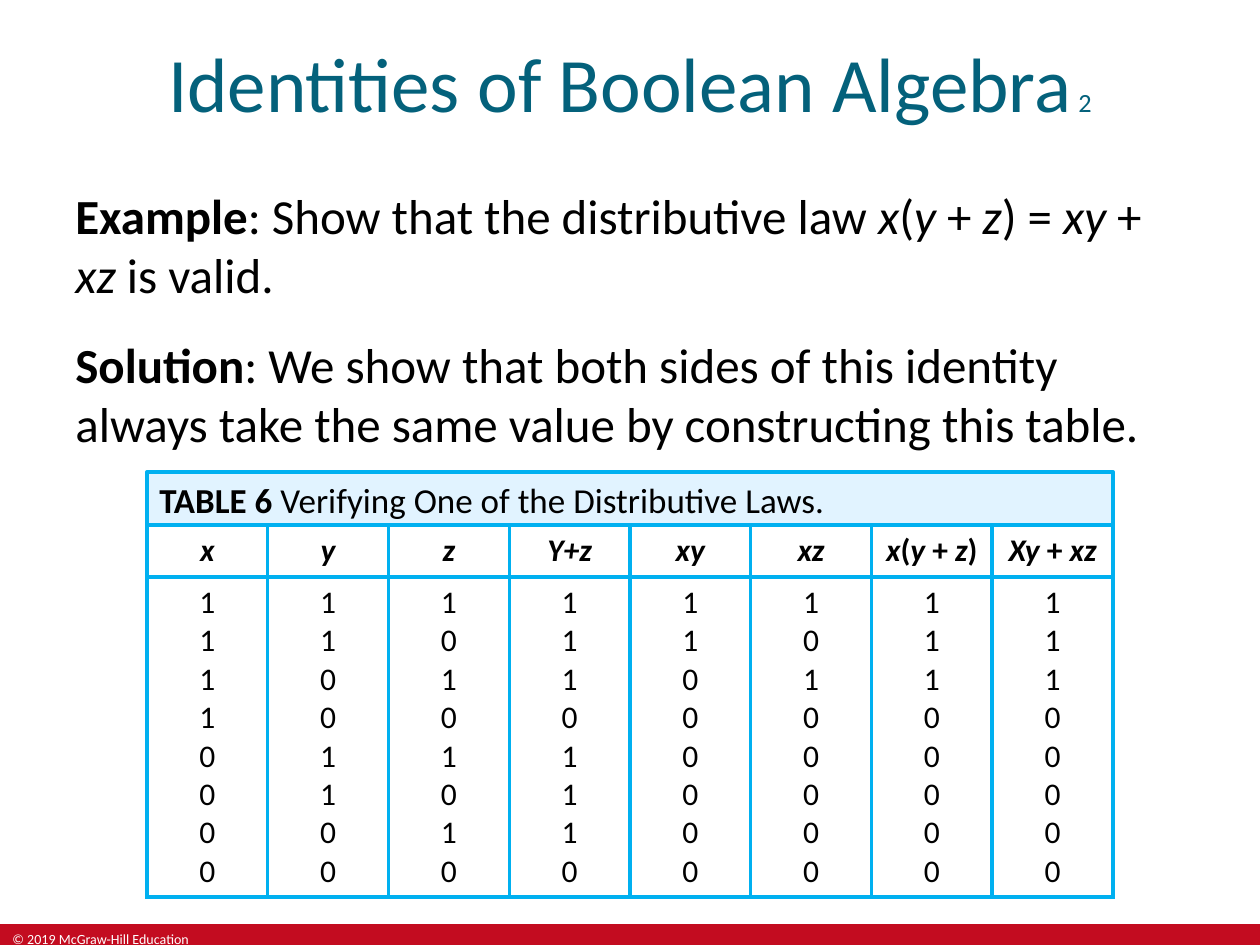
from itertools import product

from lxml import etree
from pptx import Presentation
from pptx.dml.color import RGBColor
from pptx.enum import shapes, text
from pptx.oxml import ns
from pptx.util import Emu, Pt

THEME = {
    "font": "Calibri",
    "title": "04617B", "ink": "000000", "paper": "FFFFFF",
    "rule": "00B0F0", "caption": "E1F3FF", "footer": "C30C20",
    "title_size": 44, "number_size": 15, "body_size": 28,
    "caption_size": 20, "table_size": 18, "footer_size": 8,
    "rule_width": 2.25,
}
PX = 914400 / 126


def px(*lengths):
    return [Emu(round(length * PX)) for length in lengths]


def write(para, words, size="body_size", color="ink", bold=False, align=None):
    """Add words to a paragraph; parts between asterisks are italic."""
    if align is not None:
        para.alignment = align
    for index, piece in enumerate(words.split("*")):
        if piece:
            span = para.add_run()
            span.text = piece
            span.font.name = THEME["font"]
            span.font.size = Pt(THEME[size])
            span.font.color.rgb = RGBColor.from_string(THEME[color])
            span.font.bold = bold
            span.font.italic = index % 2 == 1


deck = Presentation()
deck.slide_width, deck.slide_height = px(1260, 945)
page = deck.slides.add_slide(deck.slide_layouts[6])
center = text.PP_ALIGN.CENTER

# Footer band and caption bar
bars = {}
for name, area in (("footer", (0, 924, 1260, 21)), ("caption", (147, 472, 966, 53))):
    bar = page.shapes.add_shape(shapes.MSO_SHAPE.RECTANGLE, *px(*area))
    bar.shadow.inherit = False
    bar.fill.solid()
    bar.fill.fore_color.rgb = RGBColor.from_string(THEME[name])
    bars[name] = bar
bars["footer"].line.fill.background()
caption = bars["caption"]
caption.line.color.rgb = RGBColor.from_string(THEME["rule"])
caption.line.width = Pt(THEME["rule_width"])
caption.text_frame.vertical_anchor = text.MSO_ANCHOR.TOP
para = caption.text_frame.paragraphs[0]
write(para, "TABLE 6", size="caption_size", bold=True, align=text.PP_ALIGN.LEFT)
write(para, " Verifying One of the Distributive Laws.", size="caption_size")

# Text boxes
frames = {}
for name, area in (
    ("footer", (0, 924, 214, 21)),
    ("title", (0, 0, 1260, 164)),
    ("body", (63, 179, 1134, 284)),
):
    frames[name] = page.shapes.add_textbox(*px(*area)).text_frame
    frames[name].word_wrap = True

write(frames["footer"].paragraphs[0], "© 2019 McGraw-Hill Education",
      size="footer_size", color="paper")

frames["title"].vertical_anchor = text.MSO_ANCHOR.MIDDLE
para = frames["title"].paragraphs[0]
write(para, "Identities of Boolean Algebra", size="title_size", color="title", align=center)
write(para, " 2", size="number_size", color="title")

# Example and solution
example = frames["body"].paragraphs[0]
example.space_after = Pt(6)
write(example, "Example", bold=True)
write(example, ": Show that the distributive law *x*(*y *+ *z*) = *xy* + *xz* is valid.")
solution = frames["body"].add_paragraph()
solution.space_before = Pt(12)
write(solution, "Solution", bold=True)
write(solution, ": We show that both sides of this identity always take "
                "the same value by constructing this table.")

# Truth table: one column of values under each expression
headings = ["*x*", "*y*", "*z*", "*Y+z*", "*xy*", "*xz*", "*x*(*y *+* z*)", "*Xy *+ *xz*"]
values = [
    (x, y, z, y | z, x & y, x & z, x & (y | z), x & y | x & z)
    for x, y, z in product((1, 0), repeat=3)
]
table = page.shapes.add_table(2, len(headings), *px(147, 525, 966, 372)).table
table.first_row = table.horz_banding = False
table.rows[0].height, table.rows[1].height = px(52, 320)
for column, (heading, digits) in enumerate(zip(headings, zip(*values))):
    top, bottom = table.cell(0, column), table.cell(1, column)
    write(top.text_frame.paragraphs[0], heading, size="table_size", bold=True, align=center)
    for index, digit in enumerate(digits):
        frame = bottom.text_frame
        para = frame.add_paragraph() if index else frame.paragraphs[0]
        write(para, str(digit), size="table_size", align=center)

# Cell borders and fills
for cell in table.iter_cells():
    props = cell._tc.get_or_add_tcPr()
    for side in ("a:lnL", "a:lnR", "a:lnT", "a:lnB"):
        edge = etree.SubElement(props, ns.qn(side), w=str(Pt(THEME["rule_width"])))
        fill = etree.SubElement(edge, ns.qn("a:solidFill"))
        etree.SubElement(fill, ns.qn("a:srgbClr"), val=THEME["rule"])
    cell.fill.solid()
    cell.fill.fore_color.rgb = RGBColor.from_string(THEME["paper"])

deck.save("out.pptx")
